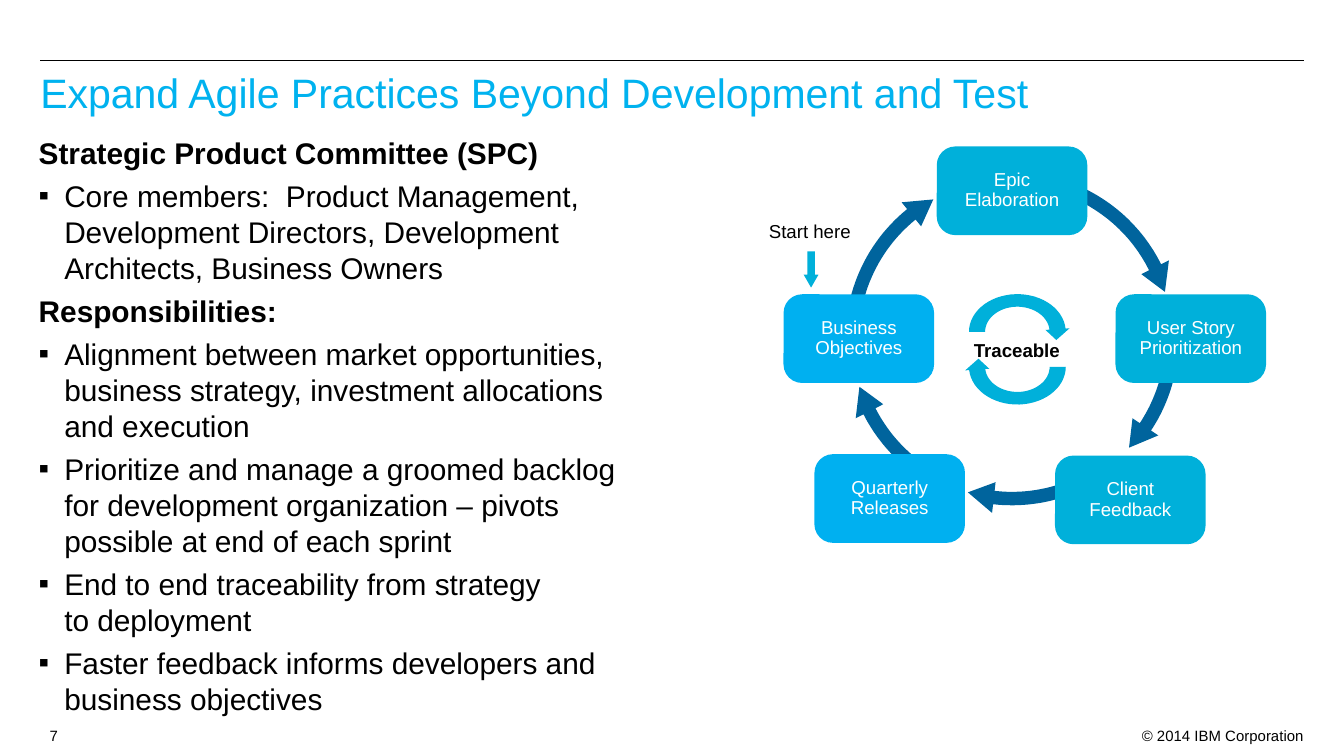
from dataclasses import dataclass
from math import cos, radians, sin

from lxml import etree
from pptx import Presentation
from pptx.dml.color import RGBColor
from pptx.enum.shapes import MSO_CONNECTOR, MSO_SHAPE
from pptx.enum.text import MSO_ANCHOR, MSO_AUTO_SIZE, PP_ALIGN
from pptx.oxml.ns import qn
from pptx.util import Inches, Pt

LEFT, CENTER, RIGHT = PP_ALIGN.LEFT, PP_ALIGN.CENTER, PP_ALIGN.RIGHT
TOP, MIDDLE = MSO_ANCHOR.TOP, MSO_ANCHOR.MIDDLE
ROUNDED, DOWN_ARROW = MSO_SHAPE.ROUNDED_RECTANGLE, MSO_SHAPE.DOWN_ARROW
STRAIGHT, NO_AUTOFIT = MSO_CONNECTOR.STRAIGHT, MSO_AUTO_SIZE.NONE

COLORS = {
    "text": "000000",
    "white": "FFFFFF",
    "title": "00B2EF",
    "teal": "00B0DA",
    "sky": "00B0F0",
    "navy": "00649D",
}
FONT = "Arial"
BOX_WIDTH, BOX_HEIGHT = 1.12, 0.66


@dataclass
class Step:
    text: str
    left: float
    top: float
    color: str


@dataclass
class Ring:
    """An ellipse on which curved arrows run clockwise."""
    x: float
    y: float
    inner: float
    outer: float
    head_overhang: float
    head_angle: float
    color: str
    flatness: float = 1


@dataclass
class Label:
    text: str
    left: float
    top: float
    width: float
    height: float
    size: float
    align: PP_ALIGN = CENTER
    bold: bool = False
    wrap: bool = False


@dataclass
class BodyParagraph:
    lines: list[str]
    heading: bool = False


STEPS = [
    Step("Epic Elaboration", 6.97, 1.09, "teal"),
    Step("User Story Prioritization", 8.3, 2.19, "teal"),
    Step("Client Feedback", 7.85, 3.39, "teal"),
    Step("Quarterly Releases", 6.06, 3.38, "sky"),
    Step("Business Objectives", 5.83, 2.19, "sky"),
]

# Each arrow: ring, start angle and head base angle, clockwise from the right
CYCLE = Ring(7.53, 2.52, 1.14, 1.24, 0.065, 9.5, "navy")
LOOP_TOP = Ring(7.57, 2.47, 0.24, 0.36, 0.03, 20, "teal", 0.78)
LOOP_BOTTOM = Ring(7.57, 2.73, 0.24, 0.36, 0.03, 20, "teal", 0.78)
ARROWS = [
    (CYCLE, -10.7, 33.5),
    (CYCLE, 52, 96.5),
    (CYCLE, 111.8, 153),
    (CYCLE, 172.6, 231),
    (CYCLE, -109.3, -26.5),
    (LOOP_TOP, -180, -5),
    (LOOP_BOTTOM, 0, 175),
]

LABELS = [
    Label("Traceable", 7.14, 2.47, 0.85, 0.27, 10, bold=True),
    Label("Start here", 5.62, 1.59, 0.81, 0.27, 10),
    Label("7", 0.2, 5.36, 0.4, 0.15, 8, wrap=True),
    Label("© 2014 IBM Corporation", 8.3, 5.36, 1.5, 0.15, 8, RIGHT, wrap=True),
]

BODY = [
    BodyParagraph(["Strategic Product Committee (SPC)"], heading=True),
    BodyParagraph(["Core members:  Product Management, Development Directors, "
                   "Development Architects, Business Owners"]),
    BodyParagraph(["Responsibilities:"], heading=True),
    BodyParagraph(["Alignment between market opportunities, business strategy, "
                   "investment allocations and execution"]),
    BodyParagraph(["Prioritize and manage a groomed backlog for development "
                   "organization – pivots possible at end of each sprint"]),
    BodyParagraph(["End to end traceability from strategy ", "to deployment"]),
    BodyParagraph(["Faster feedback informs developers and business objectives"]),
]


def add_run(paragraph, text: str, size: float, color: str = "text",
            bold: bool = False) -> None:
    run = paragraph.add_run()
    run.text = text
    run.font.name = FONT
    run.font.size = Pt(size)
    run.font.bold = bold
    run.font.color.rgb = RGBColor.from_string(COLORS[color])


def paint(shape, color: str) -> None:
    shape.shadow.inherit = False
    shape.fill.solid()
    shape.fill.fore_color.rgb = RGBColor.from_string(COLORS[color])
    shape.line.fill.background()


def add_title(slide, text: str) -> None:
    title = slide.shapes.title
    title.left, title.top = Inches(0.2), Inches(0.49)
    title.width, title.height = Inches(9.5), Inches(0.6)
    frame = title.text_frame
    frame.auto_size = NO_AUTOFIT
    frame.vertical_anchor = TOP
    paragraph = frame.paragraphs[0]
    paragraph.alignment = LEFT
    paragraph.line_spacing = 0.9
    add_run(paragraph, text, 22, "title")


def add_rule(slide) -> None:
    rule = slide.shapes.add_connector(
        STRAIGHT, Inches(0.3), Inches(0.45), Inches(9.7), Inches(0.45))
    rule.line.color.rgb = RGBColor.from_string(COLORS["text"])
    rule.line.width = Pt(0.75)
    etree.SubElement(rule._element.spPr, qn("a:effectLst"))


def add_bullet(paragraph) -> None:
    properties = paragraph._p.get_or_add_pPr()
    properties.set("marL", str(Inches(0.19)))
    properties.set("indent", str(-Inches(0.19)))
    color = etree.SubElement(properties, qn("a:buClr"))
    etree.SubElement(color, qn("a:srgbClr"), val=COLORS["text"])
    etree.SubElement(properties, qn("a:buFont"), typeface=FONT)
    etree.SubElement(properties, qn("a:buChar"), char="▪")


def add_body(slide, items: list[BodyParagraph]) -> None:
    box = slide.shapes.add_textbox(
        Inches(0.19), Inches(0.95), Inches(4.63), Inches(3.87))
    frame = box.text_frame
    frame.word_wrap = True
    for index, item in enumerate(items):
        paragraph = frame.add_paragraph() if index else frame.paragraphs[0]
        if index:
            paragraph.space_before = Pt(4)
        if not item.heading:
            add_bullet(paragraph)
        for line_index, line in enumerate(item.lines):
            if line_index:
                paragraph.add_line_break()
            add_run(paragraph, line, 16, bold=item.heading)


def add_label(slide, label: Label) -> None:
    box = slide.shapes.add_textbox(Inches(label.left), Inches(label.top),
                                   Inches(label.width), Inches(label.height))
    box.text_frame.word_wrap = label.wrap
    paragraph = box.text_frame.paragraphs[0]
    paragraph.alignment = label.align
    add_run(paragraph, label.text, label.size, bold=label.bold)


def add_curved_arrow(slide, ring: Ring, start: float, base: float) -> None:
    def point(radius: float, angle: float) -> tuple[int, int]:
        return (Inches(ring.x + radius * cos(radians(angle))),
                Inches(ring.y + radius * ring.flatness * sin(radians(angle))))

    count = 30
    angles = [start + (base - start) * step / count for step in range(count + 1)]
    outline = [point(ring.outer, angle) for angle in angles]
    outline += [
        point(ring.outer + ring.head_overhang, base),
        point((ring.inner + ring.outer) / 2, base + ring.head_angle),
        point(ring.inner - ring.head_overhang, base),
    ]
    outline += [point(ring.inner, angle) for angle in reversed(angles)]
    builder = slide.shapes.build_freeform(*outline[0], scale=1.0)
    builder.add_line_segments(outline[1:], close=True)
    paint(builder.convert_to_shape(), ring.color)


def add_step(slide, step: Step) -> None:
    box = slide.shapes.add_shape(ROUNDED, Inches(step.left), Inches(step.top),
                                 Inches(BOX_WIDTH), Inches(BOX_HEIGHT))
    box.adjustments[0] = 0.21
    paint(box, step.color)
    frame = box.text_frame
    frame.word_wrap = True
    frame.vertical_anchor = MIDDLE
    paragraph = frame.paragraphs[0]
    paragraph.alignment = CENTER
    paragraph.line_spacing = 0.9
    add_run(paragraph, step.text, 10, "white")


def main() -> None:
    presentation = Presentation()
    presentation.slide_width = Inches(10)
    presentation.slide_height = Inches(10 * 9 / 16)
    slide = presentation.slides.add_slide(presentation.slide_layouts[5])

    # Heading and text column
    add_rule(slide)
    add_title(slide, "Expand Agile Practices Beyond Development and Test")
    add_body(slide, BODY)

    # Cycle diagram, with the steps over the arrow tails
    for ring, start, base in ARROWS:
        add_curved_arrow(slide, ring, start, base)
    for step in STEPS:
        add_step(slide, step)

    # Start marker
    marker = slide.shapes.add_shape(
        DOWN_ARROW, Inches(5.98), Inches(1.87), Inches(0.11), Inches(0.27))
    marker.adjustments[0], marker.adjustments[1] = 0.5, 0.87
    paint(marker, "teal")

    # Diagram labels and footer
    for label in LABELS:
        add_label(slide, label)

    presentation.save("out.pptx")


if __name__ == "__main__":
    main()
